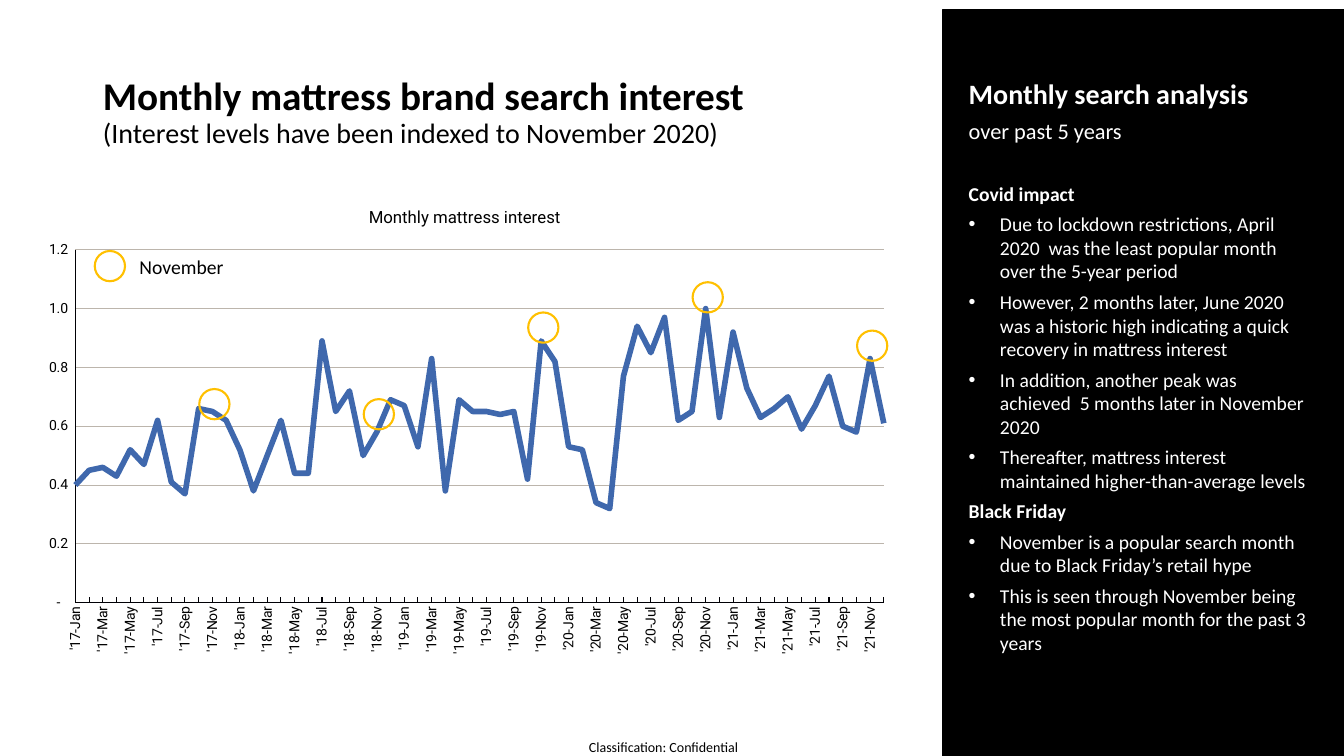
import pptx
import pptx.util
import pptx.chart.data
import pptx.dml.color
import pptx.enum.chart
import pptx.enum.shapes
import pptx.enum.text
import pptx.oxml
import pptx.oxml.ns

Inches, Pt = pptx.util.Inches, pptx.util.Pt
qn = pptx.oxml.ns.qn
ALIGN = pptx.enum.text.PP_ALIGN
ANCHOR = pptx.enum.text.MSO_ANCHOR
SHAPE = pptx.enum.shapes.MSO_SHAPE

# Content
COLOURS = {"black": "000000", "white": "FFFFFF", "axis": "000005",
           "grid": "BCB5AC", "interest": "3F68AD", "november": "FFC000"}
HEADLINE = "Monthly mattress brand search interest"
SUBTITLE = "(Interest levels have been indexed to November 2020)"
CHART_TITLE = "Monthly mattress interest"
FOOTER = "Classification: Confidential"
MONTHS = "Jan Feb Mar Apr May Jun Jul Aug Sep Oct Nov Dec".split()
INTEREST = {
    17: [0.4, 0.45, 0.46, 0.43, 0.52, 0.47, 0.62, 0.41, 0.37, 0.66, 0.65, 0.62],
    18: [0.52, 0.38, 0.5, 0.62, 0.44, 0.44, 0.89, 0.65, 0.72, 0.5, 0.58, 0.69],
    19: [0.67, 0.53, 0.83, 0.38, 0.69, 0.65, 0.65, 0.64, 0.65, 0.42, 0.89, 0.82],
    20: [0.53, 0.52, 0.34, 0.32, 0.77, 0.94, 0.85, 0.97, 0.62, 0.65, 1, 0.63],
    21: [0.92, 0.73, 0.63, 0.66, 0.7, 0.59, 0.67, 0.77, 0.6, 0.58, 0.83, 0.61],
}
NOVEMBER_TOPS = [3.86, 3.96, 3.1, 2.8, 3.28]  # one ring a year
# Analysis lines: kind, text
ANALYSIS = [
    ("title", "Monthly search analysis"),
    ("period", "over past 5 years"),
    ("first topic", "Covid impact"),
    ("point", "Due to lockdown restrictions, April 2020  was the least popular month over the 5-year period"),
    ("point", "However, 2 months later, June 2020 was a historic high indicating a quick recovery in mattress interest"),
    ("point", "In addition, another peak was achieved  5 months later in November 2020"),
    ("point", "Thereafter, mattress interest maintained higher-than-average levels"),
    ("topic", "Black Friday"),
    ("point", "November is a popular search month due to Black Friday’s retail hype"),
    ("point", "This is seen through November being the most popular month for the past 3 years"),
]
# Kind: size, bold, space before
STYLES = {"title": (20, True, 0), "period": (16, False, 5), "first topic": (14, True, 27),
          "topic": (14, True, 5), "point": (14, False, 5)}

# Layout in inches
CHART_BOX = (0.28, 1.86, 8.66, 4.72)
PLOT = {"x": 0.054, "y": 0.131, "w": 0.926, "h": 0.742}  # shares of the chart
RING = 0.3


def colour(name):
    return pptx.dml.color.RGBColor.from_string(COLOURS[name])


def style(font, size, name="black", bold=False, face="Calibri"):
    font.size, font.bold, font.name = Pt(size), bold, face
    font.color.rgb = colour(name)


def add_shape(slide, kind, box, fill=None, line=None, width=1):
    shape = slide.shapes.add_shape(kind, *map(Inches, box))
    shape.shadow.inherit = False
    for part, name in ((shape.fill, fill), (shape.line.fill, line)):
        if name:
            part.solid()
            part.fore_color.rgb = colour(name)
        else:
            part.background()
    if line:
        shape.line.width = Pt(width)
    return shape


def add_label(slide, box, text, size, margin):
    frame = slide.shapes.add_textbox(*map(Inches, box)).text_frame
    frame.word_wrap = True
    frame.vertical_anchor = ANCHOR.MIDDLE
    frame.margin_left = frame.margin_right = Inches(margin)
    frame.margin_top = frame.margin_bottom = Inches(margin / 2)
    frame.text = text
    frame.paragraphs[0].alignment = ALIGN.CENTER
    style(frame.paragraphs[0].runs[0].font, size)


def add_title(slide):
    title = slide.shapes.title
    title.left, title.top, title.width, title.height = map(Inches, (0.92, 0.4, 8.6, 1.45))
    title.text_frame.text = HEADLINE + "\v" + SUBTITLE
    title.text_frame.vertical_anchor = ANCHOR.MIDDLE
    paragraph = title.text_frame.paragraphs[0]
    paragraph.alignment, paragraph.line_spacing = ALIGN.LEFT, 0.9
    headline, subtitle = paragraph.runs
    style(headline.font, 28, bold=True)
    style(subtitle.font, 20)


def add_analysis(slide):
    add_shape(slide, SHAPE.RECTANGLE, (9.35, 0.1, 3.98, 7.4), "black", "black")
    frame = add_shape(slide, SHAPE.RECTANGLE, (9.51, 0.71, 3.6, 5.88), "black").text_frame
    frame.word_wrap = True
    frame.vertical_anchor = ANCHOR.TOP
    frame.text = "\n".join(text for kind, text in ANALYSIS)
    for paragraph, (kind, text) in zip(frame.paragraphs, ANALYSIS):
        size, bold, before = STYLES[kind]
        paragraph.alignment = ALIGN.LEFT
        paragraph.space_before = Pt(before)
        if kind == "point":
            properties = paragraph._p.get_or_add_pPr()
            properties.set("marL", str(Inches(0.31)))
            properties.set("indent", str(-Inches(0.31)))
            bullet_font = pptx.oxml.parse_xml(
                '<a:buFont xmlns:a="http://schemas.openxmlformats.org/drawingml/2006/main" typeface="Arial"/>')
            properties.append(bullet_font)
            properties.append(properties.makeelement(qn("a:buChar"), {"char": "•"}))
        style(paragraph.runs[0].font, size, "white", bold)


def add_interest_chart(slide):
    data = pptx.chart.data.CategoryChartData()
    data.categories = [f"'{year}-{month}" for year in INTEREST for month in MONTHS]
    data.add_series("Series 1", [value for values in INTEREST.values() for value in values])
    chart = slide.shapes.add_chart(pptx.enum.chart.XL_CHART_TYPE.LINE,
                                   *map(Inches, CHART_BOX), data).chart
    style(chart.font, 10)
    chart.has_legend = False
    chart.has_title = True
    chart.chart_title.include_in_layout = False
    chart.chart_title.text_frame.text = CHART_TITLE
    style(chart.chart_title.text_frame.paragraphs[0].runs[0].font, 12, face="Roboto")

    # Line
    chart.plots[0].vary_by_categories = False
    series = chart.plots[0].series[0]
    series.smooth = False
    series.marker.style = pptx.enum.chart.XL_MARKER_STYLE.NONE
    series.format.line.width = Pt(4)
    series.format.line.color.rgb = colour("interest")

    # Axes
    months, levels = chart.category_axis, chart.value_axis
    tick = pptx.enum.chart.XL_TICK_MARK
    for axis, mark in ((months, tick.INSIDE), (levels, tick.NONE)):
        axis.major_tick_mark, axis.minor_tick_mark = mark, tick.NONE
        axis.format.line.width = Pt(0.75)
        axis.format.line.color.rgb = colour("axis")
        style(axis.tick_labels.font, 10, face="Roboto")
    levels.minimum_scale, levels.maximum_scale, levels.major_unit = 0, 1.2, 0.2
    levels.tick_labels.number_format = '_(* #,##0.0_);_(* \\(#,##0.0\\);_(* "-"?_)'
    levels.tick_labels.number_format_is_linked = False
    levels.major_gridlines.format.line.width = Pt(0.75)
    levels.major_gridlines.format.line.color.rgb = colour("grid")

    # Upright labels on every second month, line starting on the axis
    text_body = months._element.find(qn("c:txPr")).find(qn("a:bodyPr"))
    text_body.set("rot", "-5400000")
    text_body.set("vert", "horz")
    skip = months._element.makeelement(qn("c:tickLblSkip"), {"val": "2"})
    months._element.find(qn("c:noMultiLvlLbl")).addprevious(skip)
    crossing = levels._element.find(qn("c:crossBetween"))
    if crossing is None:
        crossing = levels._element.makeelement(qn("c:crossBetween"), {})
        levels._element.find(qn("c:majorUnit")).addprevious(crossing)
    crossing.set("val", "midCat")

    # Plot area
    area = chart._chartSpace.chart.plotArea
    for old in area.findall(qn("c:layout")):
        area.remove(old)
    shares = "".join(f'<c:{side} val="{share}"/>' for side, share in PLOT.items())
    area.insert(0, pptx.oxml.parse_xml(
        '<c:layout xmlns:c="http://schemas.openxmlformats.org/drawingml/2006/chart"><c:manualLayout>'
        '<c:layoutTarget val="inner"/><c:xMode val="edge"/><c:yMode val="edge"/>'
        f'{shares}</c:manualLayout></c:layout>'))


def add_november_rings(slide):
    left, _, width, _ = CHART_BOX
    month_step = PLOT["w"] * width / (len(INTEREST) * len(MONTHS) - 1)
    first = left + PLOT["x"] * width + MONTHS.index("Nov") * month_step + 0.02
    rings = [(first + year * len(MONTHS) * month_step - RING / 2, top)
             for year, top in enumerate(NOVEMBER_TOPS)]
    key = (0.94, 2.49)
    for place in rings + [key]:
        add_shape(slide, SHAPE.OVAL, (*place, RING, RING), line="november", width=1.5)
    add_label(slide, (0.79, 2.43, 2.02, 0.43), "November", 14, 0.1)


def main():
    deck = pptx.Presentation()
    deck.slide_width, deck.slide_height = Inches(13.33), Inches(7.5)
    slide = deck.slides.add_slide(deck.slide_layouts[5])
    add_title(slide)
    add_analysis(slide)
    add_interest_chart(slide)
    add_november_rings(slide)
    add_label(slide, (5.82, 7.33, 1.52, 0.17), FOOTER, 10, 0)
    deck.save("out.pptx")


if __name__ == "__main__":
    main()
